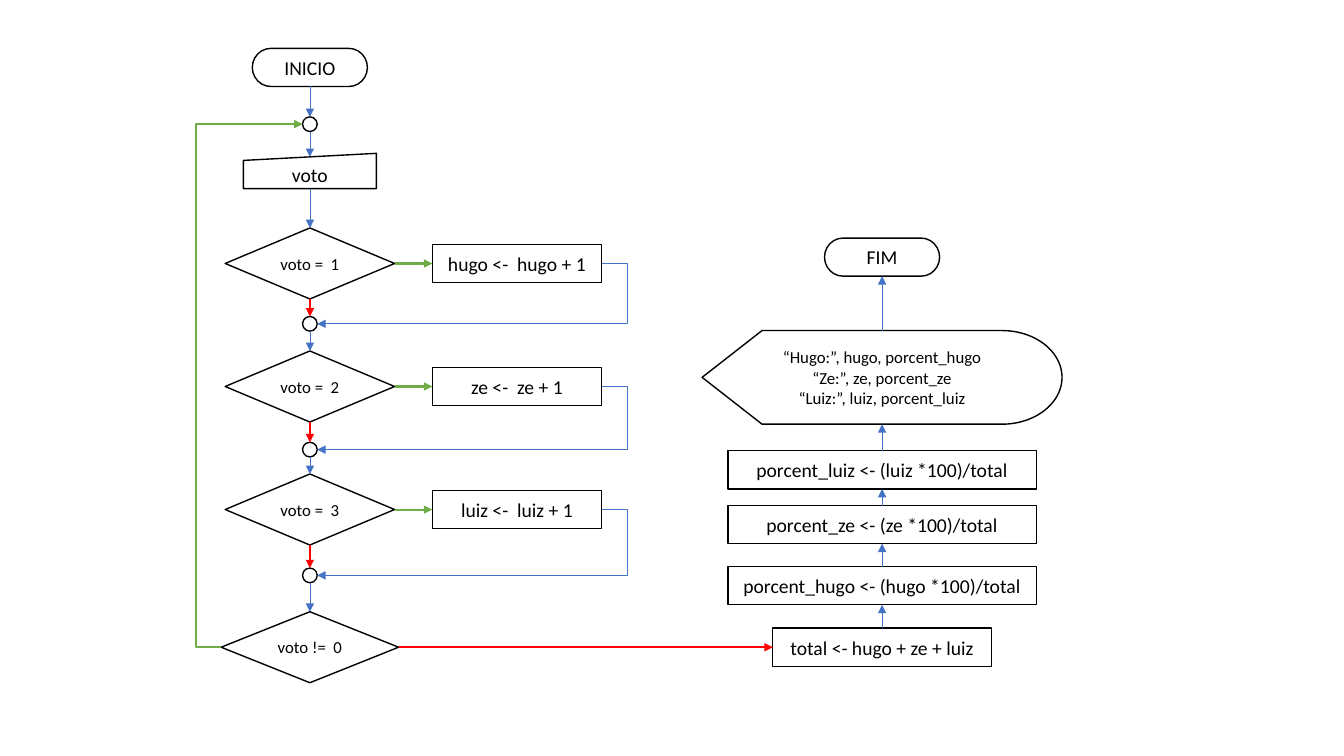
import dataclasses
from typing import Optional

import lxml.etree
import pptx
import pptx.dml.color
import pptx.enum.shapes
import pptx.enum.text
import pptx.oxml.ns
import pptx.util

Cm = pptx.util.Cm
Pt = pptx.util.Pt
RGB = pptx.dml.color.RGBColor
Kind = pptx.enum.shapes.MSO_SHAPE
Wire = pptx.enum.shapes.MSO_CONNECTOR
qn = pptx.oxml.ns.qn


@dataclasses.dataclass(frozen=True)
class Theme:
    font: str = "Calibri"
    ink: RGB = RGB(0x00, 0x00, 0x00)
    flow: RGB = RGB(0x44, 0x72, 0xC4)
    yes: RGB = RGB(0x70, 0xAD, 0x47)
    no: RGB = RGB(0xFF, 0x00, 0x00)
    text: int = 14
    small: int = 12
    outline: float = 1
    thin: float = 0.5
    thick: float = 1.5


@dataclasses.dataclass(frozen=True)
class Node:
    """A flowchart symbol given by its centre and size in centimetres."""
    kind: Kind
    x: float
    y: float
    w: float
    h: float
    lines: tuple[str, ...] = ()
    size: int = 14
    slope: float = 0  # drop of a slanted top edge at its middle

    def side(self, name: str) -> tuple[float, float]:
        return {
            "top": (self.x, self.y - self.h / 2 + self.slope),
            "bottom": (self.x, self.y + self.h / 2),
            "left": (self.x - self.w / 2, self.y),
            "right": (self.x + self.w / 2, self.y),
        }[name]


@dataclasses.dataclass(frozen=True)
class Link:
    """An arrow between sides of two nodes; via_x makes it an elbow."""
    start: Node
    start_side: str
    end: Node
    end_side: str
    color: RGB
    width: float
    via_x: Optional[float] = None


THEME = Theme()
MAIN_X, COUNT_X, RESULT_X = 7.81, 13.03, 22.23
RETURN_X, LOOP_X = 15.8, 4.93
FIRST_TEST_Y, TEST_STEP = 6.64, 3.1
FIRST_JOIN_Y, JOIN_STEP = 8.16, 3.17
LAST_Y = 16.31


def terminator(x: float, y: float, text: str) -> Node:
    return Node(Kind.FLOWCHART_TERMINATOR, x, y, 2.9, 0.96, (text,), THEME.text)


def process(x: float, y: float, w: float, text: str) -> Node:
    return Node(Kind.FLOWCHART_PROCESS, x, y, w, 0.96, (text,), THEME.text)


def decision(y: float, w: float, text: str) -> Node:
    return Node(Kind.FLOWCHART_DECISION, MAIN_X, y, w, 1.79, (text,), THEME.small)


def join(y: float) -> Node:
    return Node(Kind.OVAL, MAIN_X, y, 0.37, 0.37)


def flow(start: Node, start_side: str, end: Node, end_side: str,
         via_x: Optional[float] = None) -> Link:
    return Link(start, start_side, end, end_side, THEME.flow, THEME.thin, via_x)


def branch(start: Node, start_side: str, end: Node, end_side: str, color: RGB,
           via_x: Optional[float] = None) -> Link:
    return Link(start, start_side, end, end_side, color, THEME.thick, via_x)


def build_chart() -> tuple[list[Node], list[Link]]:
    begin = terminator(MAIN_X, 1.7, "INICIO")
    entry = join(3.13)
    vote = Node(Kind.FLOWCHART_MANUAL_INPUT, MAIN_X, 4.31, 3.35, 0.89,
                ("voto",), THEME.text, slope=0.09)
    nodes = [begin, entry, vote]
    links = [flow(begin, "bottom", entry, "top"), flow(entry, "bottom", vote, "top")]

    previous = vote
    for i, name in enumerate(("hugo", "ze", "luiz")):
        y = FIRST_TEST_Y + i * TEST_STEP
        test = decision(y, 4.27, f"voto =  {i + 1}")
        count = process(COUNT_X, y, 4.27, f"{name} <-  {name} + 1")
        merge = join(FIRST_JOIN_Y + i * JOIN_STEP)
        nodes += [test, count, merge]
        links += [
            flow(previous, "bottom", test, "top"),
            branch(test, "right", count, "left", THEME.yes),
            branch(test, "bottom", merge, "top", THEME.no),
            flow(count, "right", merge, "right", RETURN_X),
        ]
        previous = merge

    again = decision(LAST_Y, 4.47, "voto !=  0")
    total = process(RESULT_X, LAST_Y, 5.51, "total <- hugo + ze + luiz")
    shares = [process(RESULT_X, y, 7.77, f"porcent_{name} <- ({name} *100)/total")
              for name, y in (("hugo", 14.76), ("ze", 13.22), ("luiz", 11.84))]
    display = Node(Kind.FLOWCHART_DISPLAY, RESULT_X, 9.51, 9.07, 2.36,
                   ("“Hugo:”, hugo, porcent_hugo", "“Ze:”, ze, porcent_ze",
                    "“Luiz:”, luiz, porcent_luiz"), THEME.small)
    results = [total, *shares, display, terminator(RESULT_X, 6.48, "FIM")]
    nodes += [again, *results]
    links += [
        flow(previous, "bottom", again, "top"),
        branch(again, "left", entry, "left", THEME.yes, LOOP_X),
        branch(again, "right", total, "left", THEME.no),
    ]
    links += [flow(low, "top", high, "bottom") for low, high in zip(results, results[1:])]
    return nodes, links


def draw_node(s: pptx.slide.Slide, node: Node) -> None:
    sp = s.shapes.add_shape(node.kind, Cm(node.x - node.w / 2), Cm(node.y - node.h / 2),
                            Cm(node.w), Cm(node.h))
    sp.shadow.inherit = False
    sp.fill.background()
    sp.line.color.rgb = THEME.ink
    sp.line.width = Pt(THEME.outline)
    tf = sp.text_frame
    tf.vertical_anchor = pptx.enum.text.MSO_ANCHOR.MIDDLE
    for i, line in enumerate(node.lines):
        p = tf.add_paragraph() if i else tf.paragraphs[0]
        p.alignment = pptx.enum.text.PP_ALIGN.CENTER
        r = p.add_run()
        r.text = line
        r.font.name = THEME.font
        r.font.size = Pt(node.size)
        r.font.color.rgb = THEME.ink


def draw_link(s: pptx.slide.Slide, link: Link) -> None:
    x1, y1 = link.start.side(link.start_side)
    x2, y2 = link.end.side(link.end_side)
    wire = Wire.STRAIGHT if link.via_x is None else Wire.ELBOW
    cxn = s.shapes.add_connector(wire, Cm(x1), Cm(y1), Cm(x2), Cm(y2))
    cxn.line.color.rgb = link.color
    cxn.line.width = Pt(link.width)
    props = cxn._element.spPr
    lxml.etree.SubElement(props.find(qn("a:ln")), qn("a:tailEnd"), type="triangle")
    lxml.etree.SubElement(props, qn("a:effectLst"))
    if link.via_x is not None:
        bend = round((link.via_x - x1) / (x2 - x1) * 100000)
        guides = props.find(qn("a:prstGeom")).get_or_add_avLst()
        lxml.etree.SubElement(guides, qn("a:gd"), name="adj1", fmla=f"val {bend}")


def main() -> None:
    prs = pptx.Presentation()
    prs.slide_width, prs.slide_height = Cm(33.87), Cm(19.05)
    s = prs.slides.add_slide(prs.slide_layouts[6])
    nodes, links = build_chart()
    for node in nodes:
        draw_node(s, node)
    for link in links:
        draw_link(s, link)
    prs.save("out.pptx")


if __name__ == "__main__":
    main()
